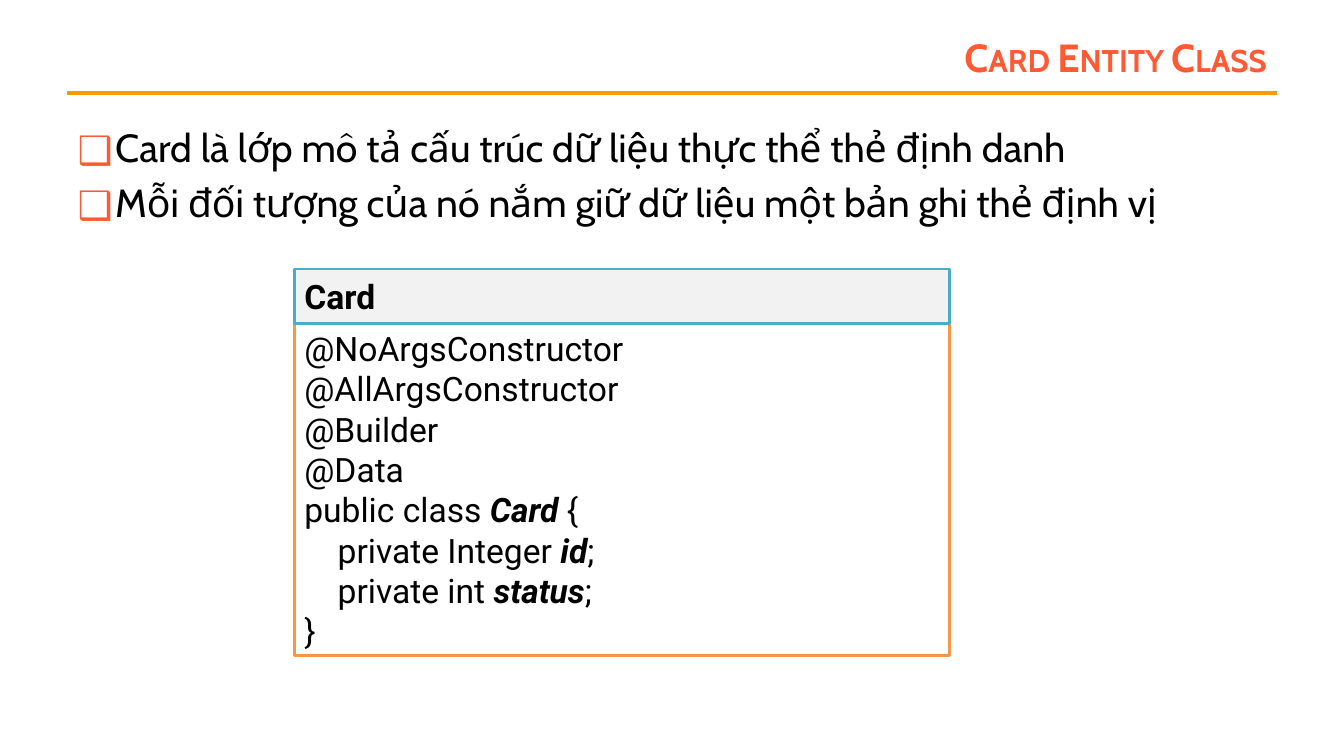
from lxml import etree
from pptx import Presentation
from pptx.dml.color import RGBColor
from pptx.enum.shapes import MSO_CONNECTOR as Connector, MSO_SHAPE as Shape
from pptx.enum.text import MSO_ANCHOR as Anchor, MSO_AUTO_SIZE as AutoSize, PP_ALIGN as Align
from pptx.oxml.ns import qn
from pptx.util import Cm, Pt

COLORS = {
    "accent": "FF5A33", "rule": "FF9900", "ink": "000000",
    "header_fill": "F2F2F2", "header_line": "4BACC6",
    "code_fill": "FFFFFF", "code_line": "F79646",
}
POINTS = [
    "Card là lớp mô tả cấu trúc dữ liệu thực thể thẻ định danh",
    "Mỗi đối tượng của nó nắm giữ dữ liệu một bản ghi thẻ định vị",
]
# Each line: indent level, then pieces; every second piece is emphasised.
CODE = [
    (0, ["@NoArgsConstructor"]),
    (0, ["@AllArgsConstructor"]),
    (0, ["@Builder"]),
    (0, ["@Data"]),
    (0, ["public class ", "Card", " {"]),
    (1, ["private Integer ", "id", ";"]),
    (1, ["private int ", "status", ";"]),
    (0, ["}"]),
]
CODE_INDENT = Cm(0.84)


def rgb(name):
    return RGBColor.from_string(COLORS[name])


def set_font(para, name, size, color="ink", bold=False):
    font = para.font
    font.name, font.size, font.bold = name, Pt(size), bold
    font.color.rgb = rgb(color)


def place(box, left, top, width, height):
    box.left, box.top, box.width, box.height = left, top, width, height


def paragraphs(frame, count):
    """Return count paragraphs of the frame, adding those that are missing."""
    while len(frame.paragraphs) < count:
        frame.add_paragraph()
    return frame.paragraphs


def add_bullet(para, hanging):
    """Put a coloured square bullet before a paragraph whose font is set."""
    properties = para._p.get_or_add_pPr()
    properties.set("marL", str(hanging))
    properties.set("indent", str(-hanging))
    default_run = properties.find(qn("a:defRPr"))
    color = etree.Element(qn("a:buClr"))
    etree.SubElement(color, qn("a:srgbClr"), val=COLORS["accent"])
    default_run.addprevious(color)
    default_run.addprevious(etree.Element(qn("a:buFont"), typeface="Noto Sans Symbols"))
    default_run.addprevious(etree.Element(qn("a:buChar"), char="❑"))


def add_heading(page, left, top, width):
    title = page.shapes.title
    title_left = left + Cm(4.5)
    place(title, title_left, top, left + width - title_left, Cm(1.35))
    frame = title.text_frame
    frame.text = "Card Entity Class"
    frame.auto_size, frame.vertical_anchor = AutoSize.NONE, Anchor.MIDDLE
    para = frame.paragraphs[0]
    para.alignment = Align.RIGHT
    set_font(para, "Cabin", 28, "accent", bold=True)
    para._p.pPr.find(qn("a:defRPr")).set("cap", "small")

    rule_top = top + Cm(1.58)
    rule = page.shapes.add_connector(Connector.STRAIGHT, left, rule_top, left + width, rule_top)
    rule.line.color.rgb, rule.line.width = rgb("rule"), Pt(3)
    etree.SubElement(rule._element.spPr, qn("a:effectLst"))


def add_points(page, left, top, width, height):
    body = page.placeholders[1]
    place(body, left, top, width, height)
    frame = body.text_frame
    frame.auto_size, frame.vertical_anchor = AutoSize.NONE, Anchor.TOP
    for para, point in zip(paragraphs(frame, len(POINTS)), POINTS):
        para.text = point
        para.space_before = Pt(5.6)
        set_font(para, "Cabin", 28)
        add_bullet(para, Cm(0.95))


def add_panel(page, part, left, top, width, height):
    panel = page.shapes.add_shape(Shape.RECTANGLE, left, top, width, height)
    panel.shadow.inherit = False
    panel.fill.solid()
    panel.fill.fore_color.rgb = rgb(part + "_fill")
    panel.line.color.rgb, panel.line.width = rgb(part + "_line"), Pt(2)
    frame = panel.text_frame
    frame.word_wrap, frame.vertical_anchor = True, Anchor.MIDDLE
    return frame


def add_class_card(page, left, top, width, height):
    header_height = Cm(1.37)
    code = add_panel(page, "code", left, top + header_height, width, height - header_height)
    for para, (level, pieces) in zip(paragraphs(code, len(CODE)), CODE):
        para.alignment = Align.LEFT
        para._p.get_or_add_pPr().set("marL", str(level * CODE_INDENT))
        set_font(para, "Roboto", 24)
        for index, piece in enumerate(pieces):
            span = para.add_run()
            span.text = piece
            if index % 2:
                span.font.bold = span.font.italic = True

    header = add_panel(page, "header", left, top, width, header_height)
    header.text = "Card"
    para = header.paragraphs[0]
    para.alignment = Align.LEFT
    set_font(para, "Roboto", 24, bold=True)


def main():
    deck = Presentation()
    deck.slide_width, deck.slide_height = Cm(33.87), Cm(19.05)
    page = deck.slides.add_slide(deck.slide_layouts[1])
    margin, width = Cm(1.7), Cm(30.48)
    add_heading(page, margin, Cm(0.76), width)
    add_points(page, margin, Cm(2.97), width, Cm(14.6))
    add_class_card(page, Cm(7.42), Cm(6.78), Cm(16.51), Cm(9.73))
    deck.save("out.pptx")


if __name__ == "__main__":
    main()
